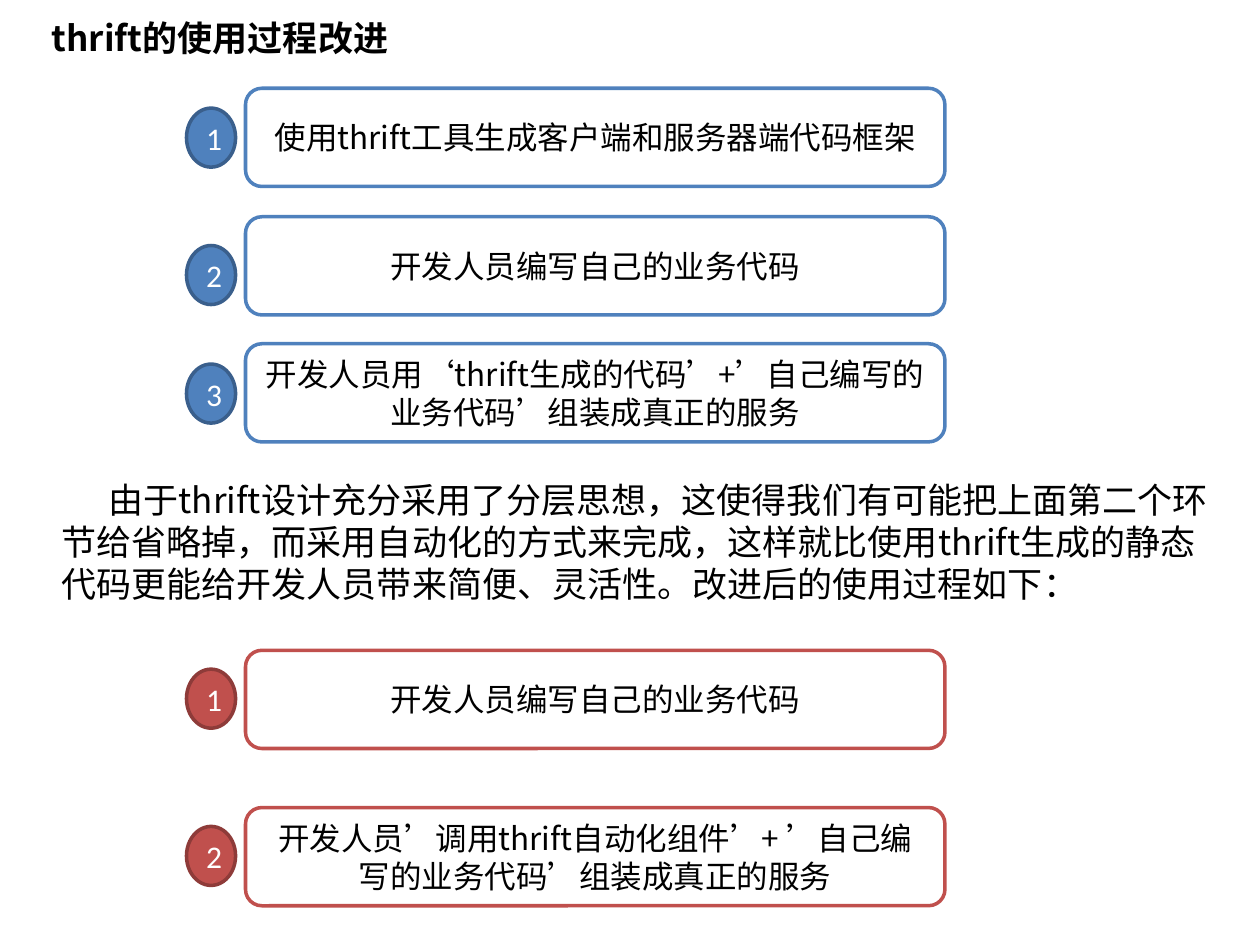
"""Build a slide on improving the thrift workflow."""
import pptx
import pptx.dml.color
import pptx.enum.shapes
import pptx.enum.text
import pptx.oxml.ns
import pptx.util

Cm = pptx.util.Cm
MSO = pptx.enum.shapes.MSO_SHAPE
ALIGN = pptx.enum.text.PP_ALIGN
ANCHOR = pptx.enum.text.MSO_ANCHOR

THEME = {
    "text": "000000", "white": "FFFFFF",
    "blue": "4F81BD", "blue_dark": "3A5F8C",
    "red": "C0504D", "red_dark": "8E3B39",
    "cjk": "Noto Sans CJK SC", "latin": "Calibri",
    "large": 20, "medium": 18, "line": 2,
}


def rgb(name):
    return pptx.dml.color.RGBColor.from_string(THEME[name])


def write(sp, text, size="medium", font="cjk", color="text", bold=False,
          align=ALIGN.CENTER, anchor=ANCHOR.MIDDLE, indent=0):
    tf = sp.text_frame
    tf.word_wrap = True
    tf.auto_size = pptx.enum.text.MSO_AUTO_SIZE.NONE
    tf.vertical_anchor = anchor
    p = tf.paragraphs[0]
    p.alignment = align
    p.space_before = pptx.util.Pt(0)
    if indent:
        p._p.get_or_add_pPr().set("indent", str(indent))
    r = p.add_run()
    r.text = text
    r.font.name = THEME[font]
    r.font.size = pptx.util.Pt(THEME[size])
    r.font.bold = bold
    r.font.color.rgb = rgb(color)
    ea = r._r.get_or_add_rPr().makeelement(pptx.oxml.ns.qn("a:ea"), {"typeface": THEME[font]})
    r.font._element.find(pptx.oxml.ns.qn("a:latin")).addnext(ea)


prs = pptx.Presentation()
prs.slide_width, prs.slide_height = Cm(25.4), Cm(19.05)
s = prs.slides.add_slide(prs.slide_layouts[5])

title = s.shapes.title
title.left, title.top, title.width, title.height = Cm(0.79), Cm(0.2), Cm(7.37), Cm(1.12)
write(title, "thrift的使用过程改进", size="large", bold=True, align=ALIGN.LEFT, anchor=ANCHOR.TOP)

flows = [
    ("blue", [
        (1.78, 2.18, "使用thrift工具生成客户端和服务器端代码框架"),
        (4.37, 4.95, "开发人员编写自己的业务代码"),
        (6.93, 7.34, "开发人员用‘thrift生成的代码’+’自己编写的业务代码’组装成真正的服务"),
    ]),
    ("red", [
        (13.11, 13.49, "开发人员编写自己的业务代码"),
        (16.28, 16.66, "开发人员’调用thrift自动化组件’+ ’自己编写的业务代码’组装成真正的服务"),
    ]),
]
for hue, steps in flows:
    for number, (box_top, badge_top, text) in enumerate(steps, 1):
        box = s.shapes.add_shape(MSO.ROUNDED_RECTANGLE, Cm(4.95), Cm(box_top), Cm(14.1), Cm(1.98))
        badge = s.shapes.add_shape(MSO.OVAL, Cm(3.76), Cm(badge_top), Cm(0.99), Cm(1.19))
        for sp, fill, line in ((box, "white", hue), (badge, hue, hue + "_dark")):
            sp.shadow.inherit = False
            sp.fill.solid()
            sp.fill.fore_color.rgb = rgb(fill)
            sp.line.color.rgb = rgb(line)
            sp.line.width = pptx.util.Pt(THEME["line"])
        write(box, text)
        write(badge, str(number), font="latin", color="white")

body = s.shapes.add_textbox(Cm(0.99), Cm(9.53), Cm(23.62), Cm(2.82))
write(body, "由于thrift设计充分采用了分层思想，这使得我们有可能把上面第二个环节给省略掉，"
      "而采用自动化的方式来完成，这样就比使用thrift生成的静态代码更能给开发人员带来简便、灵活性。"
      "改进后的使用过程如下：",
      size="large", align=ALIGN.LEFT, anchor=ANCHOR.TOP, indent=Cm(0.95))

prs.save("out.pptx")
